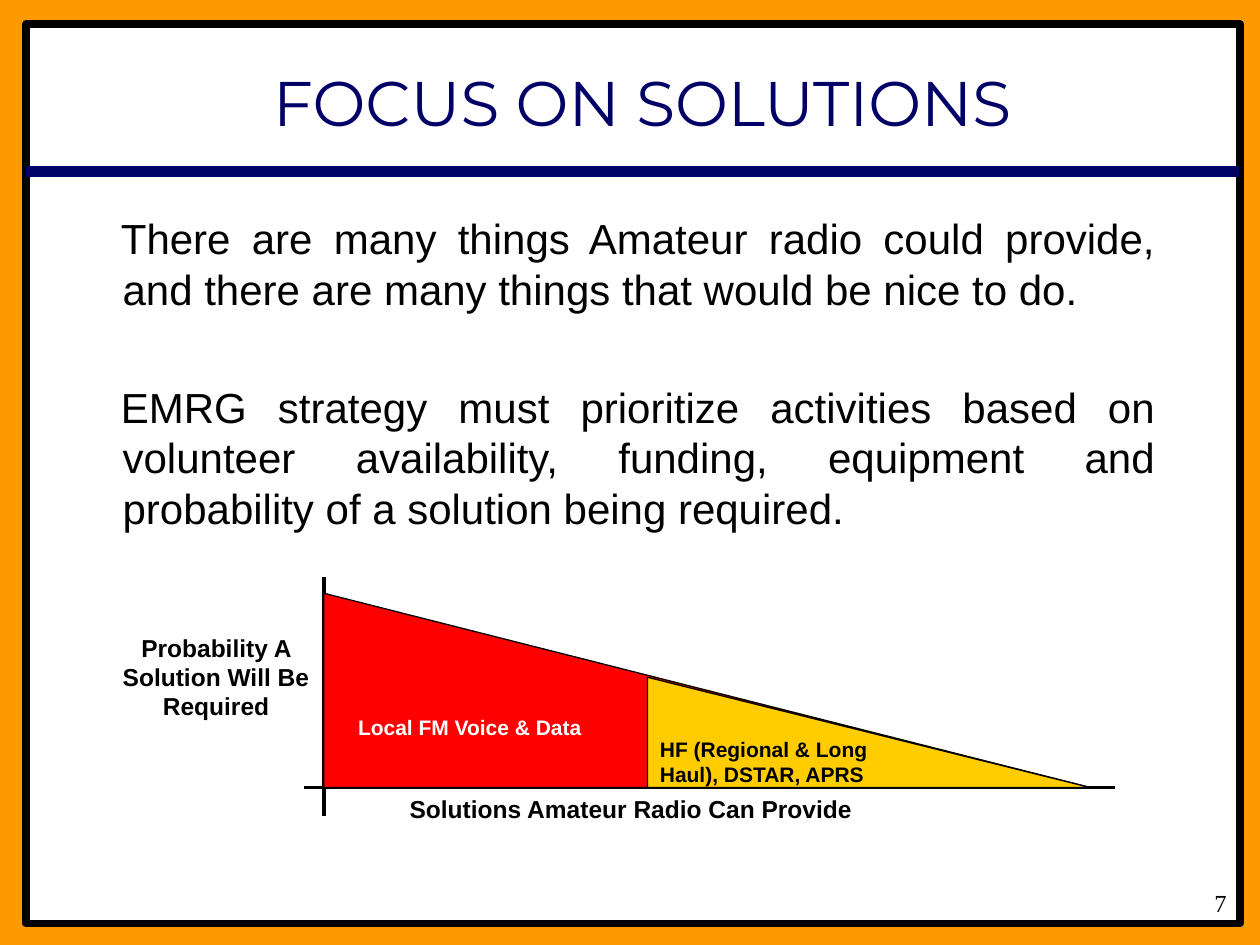
from pptx import Presentation
from pptx.dml.color import RGBColor
from pptx.enum.shapes import MSO_CONNECTOR, MSO_SHAPE as Shape
from pptx.enum.text import MSO_AUTO_SIZE as AutoSize, PP_ALIGN as Align
from pptx.oxml.ns import qn
from pptx.util import Pt
from lxml import etree

ORANGE, NAVY, RED, YELLOW = "FF9900", "000066", "FF0000", "FFCC00"
BLACK, WHITE = "000000", "FFFFFF"


def color(hex_code):
    return RGBColor.from_string(hex_code)


class SlideBuilder:
    """Holds the text style and the slide being filled; lengths are points."""

    font = "Arial"

    def __init__(self, slide):
        self.slide = slide

    def shape(self, kind, left, top, width, height, fill, line=None, weight=0.75):
        item = self.slide.shapes.add_shape(
            kind, Pt(left), Pt(top), Pt(width), Pt(height))
        item.shadow.inherit = False
        item.fill.solid()
        item.fill.fore_color.rgb = color(fill)
        if line:
            item.line.color.rgb = color(line)
            item.line.width = Pt(weight)
        else:
            item.line.fill.background()

    def line(self, x1, y1, x2, y2, stroke, weight):
        rule = self.slide.shapes.add_connector(
            MSO_CONNECTOR.STRAIGHT, Pt(x1), Pt(y1), Pt(x2), Pt(y2))
        rule.line.color.rgb = color(stroke)
        rule.line.width = Pt(weight)
        etree.SubElement(rule._element.spPr, qn("a:effectLst"))

    def text(self, words, left, top, width, height, size, align=Align.LEFT,
             ink=BLACK, font=None, bold=False, wrap=True, hanging=0):
        box = self.slide.shapes.add_textbox(
            Pt(left), Pt(top), Pt(width), Pt(height))
        frame = box.text_frame
        frame.word_wrap = wrap
        frame.auto_size = AutoSize.SHAPE_TO_FIT_TEXT
        paragraph = frame.paragraphs[0]
        paragraph.alignment = align
        if hanging:
            properties = paragraph._p.get_or_add_pPr()
            properties.set("marL", str(Pt(hanging)))
            properties.set("indent", str(-Pt(hanging)))
        run = paragraph.add_run()
        run.text = words
        run.font.name = font or self.font
        run.font.size = Pt(size)
        run.font.bold = bold
        run.font.color.rgb = color(ink)


def add_frame(builder):
    builder.shape(Shape.RECTANGLE, 0, 0, 720, 540, ORANGE)
    builder.shape(Shape.RECTANGLE, 15, 13.75, 693.5, 514, WHITE, BLACK, 4.5)
    builder.line(15, 98, 708, 98, NAVY, 6)
    builder.text("7", 666, 504, 42, 24.5, 14, Align.RIGHT,
                 font="Times New Roman")


def add_statements(builder):
    builder.text("FOCUS ON SOLUTIONS", 121, 33, 492, 50.5, 36, Align.CENTER,
                 NAVY, "Montserrat")
    statements = [
        (118, 65, "There are many things Amateur radio could provide, and "
                  "there are many things that would be nice to do."),
        (214.5, 94, "EMRG strategy must prioritize activities based on "
                    "volunteer availability, funding, equipment and "
                    "probability of a solution being required."),
    ]
    for top, height, words in statements:
        builder.text(words, 62, top, 605, height, 24, Align.JUSTIFY, hanging=1)


def add_probability_diagram(builder):
    origin_x, origin_y, tip_x = 185, 450, 623
    builder.line(origin_x, 330, origin_x, 466.5, BLACK, 2.25)
    builder.line(174, origin_y, 637, origin_y, BLACK, 2.25)

    hf_left = 370
    for left, height, fill in [(origin_x, 111, RED), (hf_left, 63, YELLOW)]:
        builder.shape(Shape.RIGHT_TRIANGLE, left, origin_y - height,
                      tip_x - left, height, fill, BLACK)

    builder.text("Solutions Amateur Radio Can Provide", 227, origin_y,
                 268, 24.5, 14, bold=True, wrap=False)
    builder.text("Probability A Solution Will Be Required", 62, 358,
                 123, 58, 14, Align.CENTER, bold=True)
    builder.text("Local FM Voice & Data", 197.5, 404.5, 143, 22, 12,
                 ink=WHITE, bold=True, wrap=False)
    builder.text("HF (Regional & Long Haul), DSTAR, APRS", hf_left, 417.5,
                 156, 36, 12, bold=True)


def main():
    deck = Presentation()
    deck.slide_width, deck.slide_height = Pt(720), Pt(540)
    builder = SlideBuilder(deck.slides.add_slide(deck.slide_layouts[6]))
    add_frame(builder)
    add_statements(builder)
    add_probability_diagram(builder)
    deck.save("out.pptx")


if __name__ == "__main__":
    main()
